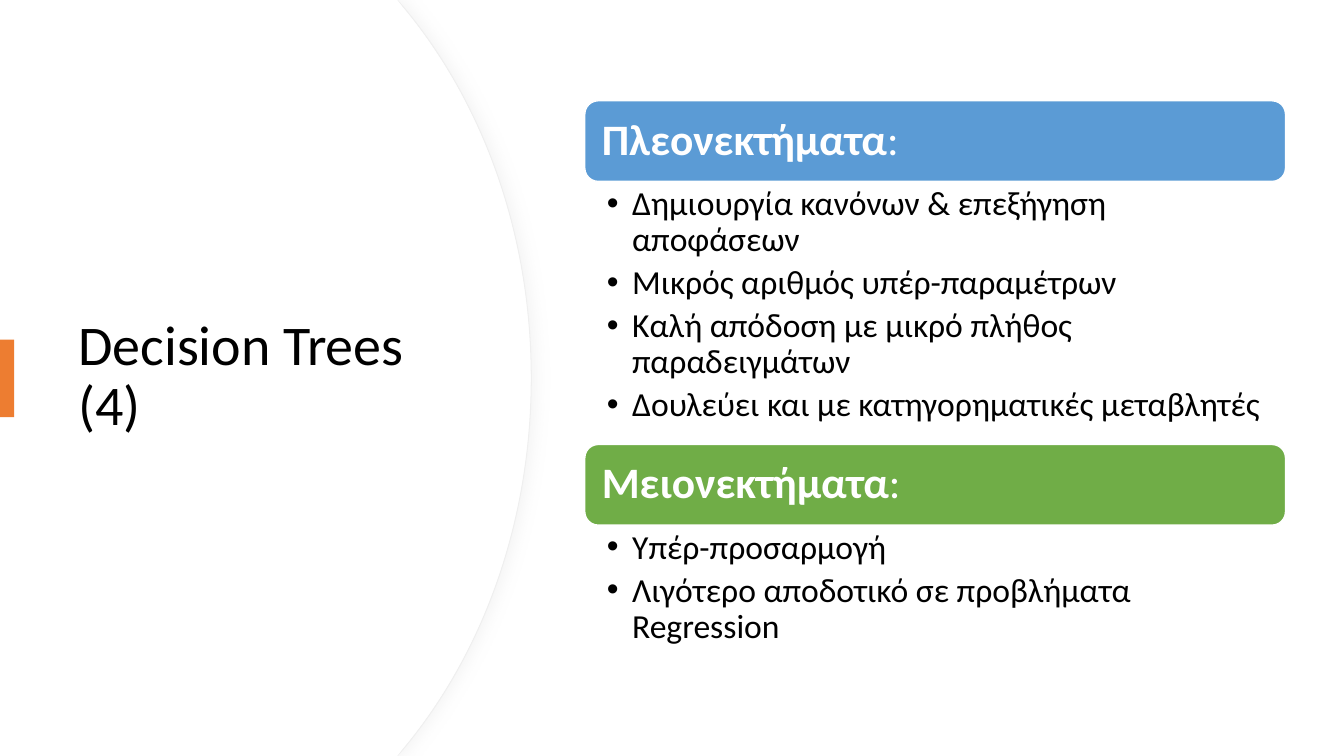
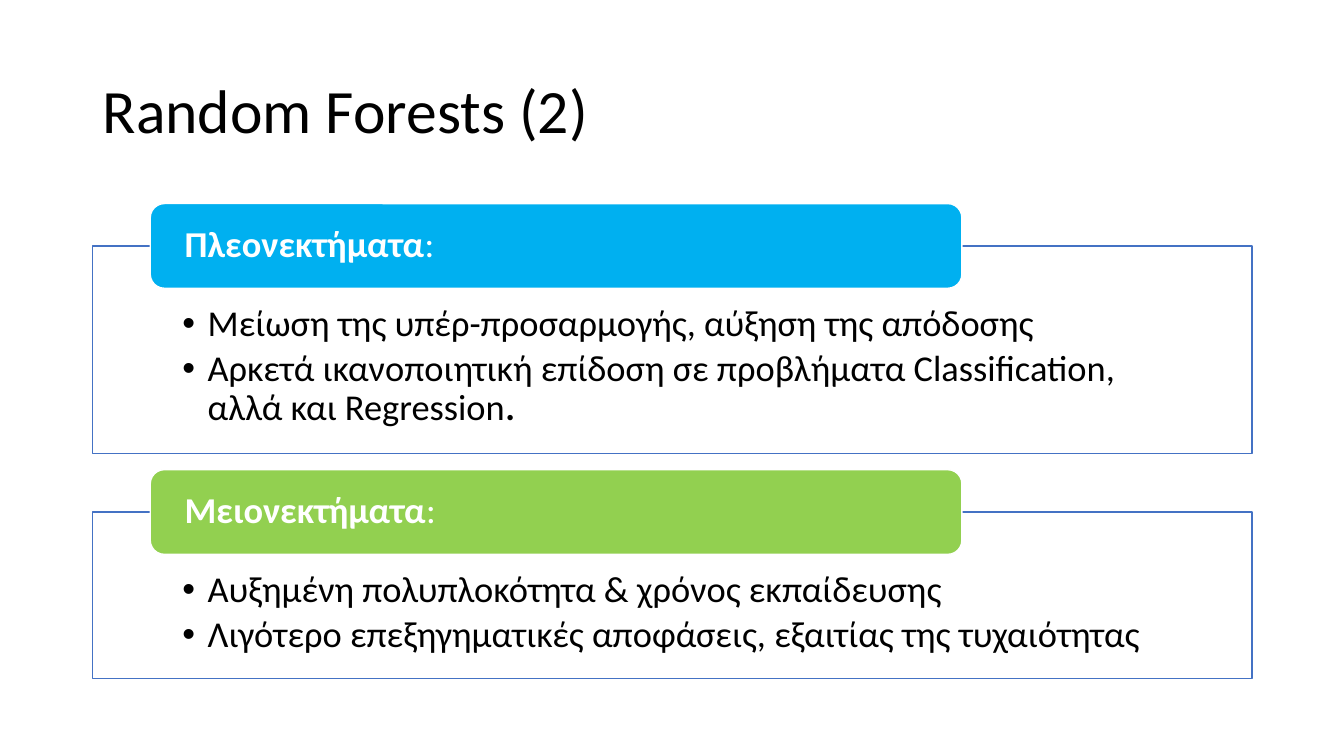
from lxml.etree import SubElement
from pptx import Presentation
from pptx.dml.color import RGBColor
from pptx.enum.shapes import MSO_SHAPE
from pptx.enum.text import MSO_ANCHOR, PP_ALIGN
from pptx.oxml.ns import qn
from pptx.util import Pt

PX = 9144
FONT = "Calibri"
BLACK = RGBColor(0x00, 0x00, 0x00)
WHITE = RGBColor(0xFF, 0xFF, 0xFF)
ORANGE = RGBColor(0xED, 0x7D, 0x31)
BLUE = RGBColor(0x5B, 0x9B, 0xD5)
GREEN = RGBColor(0x70, 0xAD, 0x47)
SKY = RGBColor(0x00, 0xB0, 0xF0)
LIME = RGBColor(0x92, 0xD0, 0x50)
FRAME_BLUE = RGBColor(0x44, 0x72, 0xC4)
EDGE_GREY = RGBColor(0xEF, 0xEF, 0xEF)

PROS = [("Πλεονεκτήματα", True), (":", False)]
CONS = [("Μειονεκτήματα", True), (":", False)]


def add_box(page, bounds, kind=None, fill=None, line=None):
    edges = [value * PX for value in bounds]
    if kind is None:
        return page.shapes.add_textbox(*edges)
    box = page.shapes.add_shape(kind, *edges)
    box.shadow.inherit = False
    box.fill.solid()
    box.fill.fore_color.rgb = fill
    if line is None:
        box.line.fill.background()
    else:
        box.line.color.rgb = line
        box.line.width = Pt(1)
    return box


def write(box, paras, size, color=BLACK, insets=(10, 5, 10, 5), after=0,
          anchor=MSO_ANCHOR.MIDDLE, bullets=False):
    frame = box.text_frame
    frame.word_wrap = True
    frame.vertical_anchor = anchor
    frame.margin_left, frame.margin_top, frame.margin_right, frame.margin_bottom = [
        inset * PX for inset in insets]
    for index, spans in enumerate(paras):
        para = frame.add_paragraph() if index else frame.paragraphs[0]
        para.alignment = PP_ALIGN.LEFT
        para.line_spacing = 0.9
        para.space_after = Pt(size * after)
        if bullets:
            properties = para._p.get_or_add_pPr()
            properties.set("marL", str(25 * PX))
            properties.set("indent", str(-25 * PX))
            SubElement(properties, qn("a:buFont"), typeface="Arial")
            SubElement(properties, qn("a:buChar"), char="•")
        for text, bold in spans:
            span = para.add_run()
            span.text = text
            span.font.name = FONT
            span.font.size = Pt(size)
            span.font.bold = bold
            span.font.color.rgb = color


deck = Presentation()
deck.slide_width = 1333 * PX
deck.slide_height = 750 * PX
blank = deck.slide_layouts[6]

page = deck.slides.add_slide(blank)
for right in (527, 526):
    shoulder = right - 126
    builder = page.shapes.build_freeform(0, 0, scale=PX)
    builder.add_line_segments([
        (394, 0), (shoulder, 8),
        (right - 48, 102), (right, 232), (right, 375),
        (right, 518), (right - 48, 648), (shoulder, 742),
        (394, 750), (0, 750),
    ], close=True)
    panel = builder.convert_to_shape()
    segments = list(panel._element.iter(qn("a:lnTo")))
    for first in (2, 5):
        curve = SubElement(segments[first].getparent(), qn("a:cubicBezTo"))
        segments[first].addprevious(curve)
        for segment in segments[first:first + 3]:
            curve.append(segment[0])
            segment.getparent().remove(segment)
    panel.shadow.inherit = False
    panel.fill.solid()
    panel.fill.fore_color.rgb = WHITE
    if right == 527:
        panel.line.color.rgb = EDGE_GREY
        panel.line.width = Pt(0.75)
        effects = panel._element.spPr.find(qn("a:effectLst"))
        shadow = SubElement(effects, qn("a:outerShdw"), blurRad=str(Pt(10)),
                            dist=str(Pt(3)), dir="0", algn="l", rotWithShape="0")
        shade = SubElement(shadow, qn("a:srgbClr"), val="D9D9D9")
        SubElement(shade, qn("a:alpha"), val="25000")
    else:
        panel.line.fill.background()

title = add_box(page, (68, 127, 394, 495))
write(title, [[("Decision Trees (4)", False)]], 40)
add_box(page, (0, 337, 14, 77), MSO_SHAPE.RECTANGLE, ORANGE)

tree_sections = [
    (100, 260, BLUE, PROS, [
        "Δημιουργία κανόνων & επεξήγηση αποφάσεων",
        "Μικρός αριθμός υπέρ-παραμέτρων",
        "Καλή απόδοση με μικρό πλήθος παραδειγμάτων",
        "Δουλεύει και με κατηγορηματικές μεταβλητές",
    ]),
    (441, 130, GREEN, CONS, [
        "Υπέρ-προσαρμογή",
        "Λιγότερο αποδοτικό σε προβλήματα Regression",
    ]),
]
for top, height, color, heading, items in tree_sections:
    banner = add_box(page, (580, top, 695, 80), MSO_SHAPE.ROUNDED_RECTANGLE, color, WHITE)
    write(banner, [heading], 31, WHITE, (13, 13, 13, 13))
    body = add_box(page, (580, top + 81, 696, height))
    write(body, [[(item, False)] for item in items], 24, insets=(22, 4, 24, 4),
          after=0.2, anchor=MSO_ANCHOR.TOP, bullets=True)

page = deck.slides.add_slide(blank)
title = add_box(page, (92, 40, 1150, 145))
write(title, [[("Random Forests (2)", False)]], 44)

forest_sections = [
    (244, 206, SKY, PROS, [
        [("Μείωση της υπέρ-προσαρμογής, αύξηση της απόδοσης", False)],
        [("Αρκετά ικανοποιητική επίδοση σε προβλήματα Classification, αλλά και Regression", False),
         (".", True)],
    ]),
    (508, 165, LIME, CONS, [
        [("Αυξημένη πολυπλοκότητα & χρόνος εκπαίδευσης", False)],
        [("Λιγότερο επεξηγηματικές αποφάσεις, εξαιτίας της τυχαιότητας", False)],
    ]),
]
for top, height, color, heading, items in forest_sections:
    body = add_box(page, (92, top, 1150, height), MSO_SHAPE.RECTANGLE, WHITE, FRAME_BLUE)
    write(body, items, 26, insets=(89, 59, 89, 20), after=0.15,
          anchor=MSO_ANCHOR.TOP, bullets=True)
    banner = add_box(page, (149, top - 42, 805, 84), MSO_SHAPE.ROUNDED_RECTANGLE, color, WHITE)
    write(banner, [heading], 26, WHITE, (30, 0, 30, 0))

deck.save("out.pptx")
